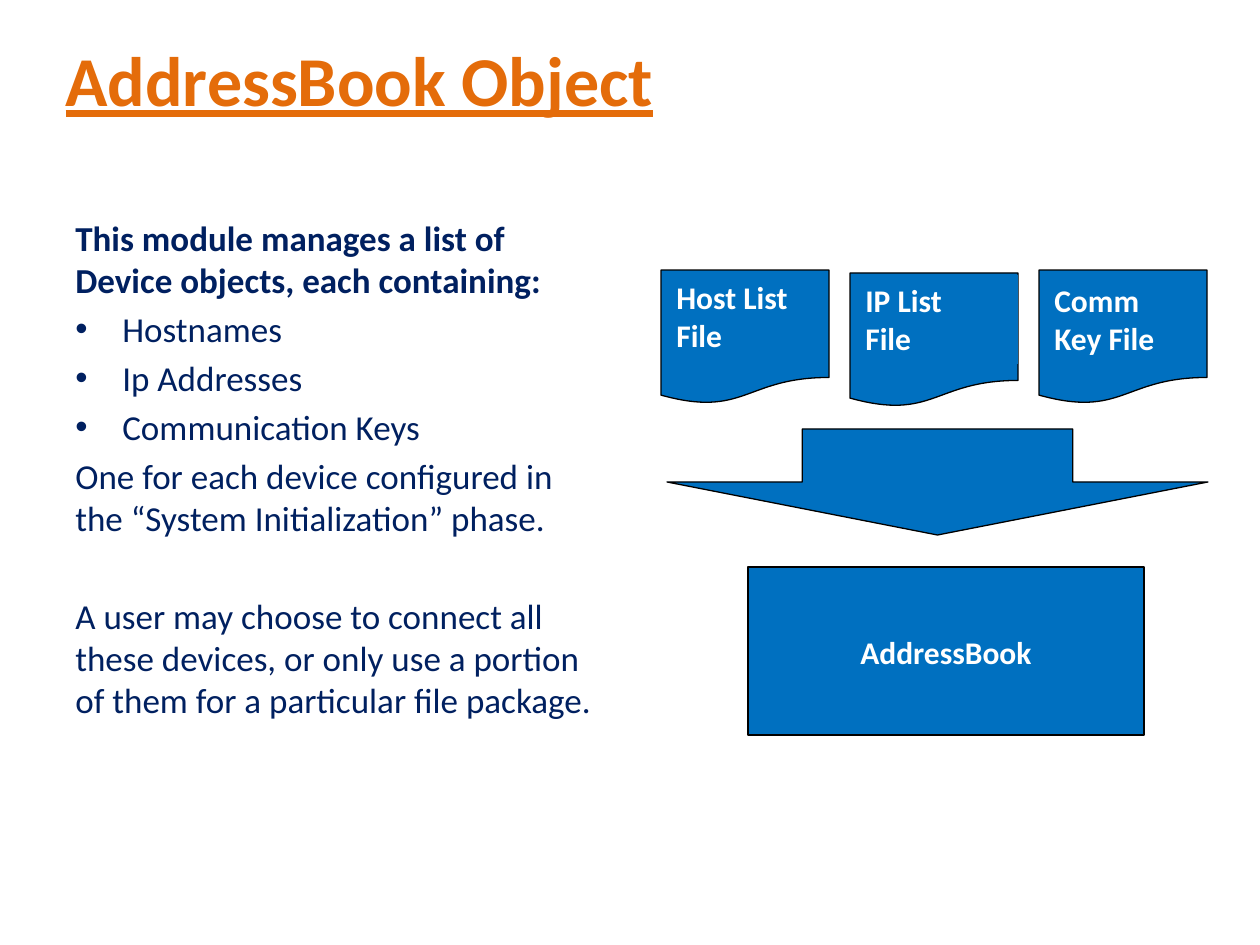
"""Build the AddressBook Object slide."""
from lxml.etree import SubElement
from pptx import Presentation
from pptx.dml.color import RGBColor
from pptx.enum.shapes import MSO_SHAPE
from pptx.enum.text import MSO_ANCHOR, PP_ALIGN
from pptx.oxml.ns import qn
from pptx.util import Pt

PX = 914400 / 126
COLORS = {"blue": "0070C0", "navy": "002060", "orange": "E46C0A", "white": "FFFFFF", "black": "000000"}


def write(frame, lines, size=18, color="white", bold=True, underline=False,
          align=PP_ALIGN.LEFT, anchor=MSO_ANCHOR.TOP):
    frame.word_wrap = True
    frame.vertical_anchor = anchor
    for i, (text, look) in enumerate(lines):
        para = frame.paragraphs[0] if i == 0 else frame.add_paragraph()
        para.alignment = align
        para.space_before = Pt(look.get("before", 0))
        if look.get("bullet"):
            props = para._p.get_or_add_pPr()
            props.set("marL", str(int(47 * PX)))
            props.set("indent", str(int(-47 * PX)))
            SubElement(props, qn("a:buFont")).set("typeface", "Arial")
            SubElement(props, qn("a:buChar")).set("char", "•")
        run = para.add_run()
        run.text = text
        font = run.font
        font.name, font.size = "Calibri", Pt(size)
        font.bold = look.get("bold", bold)
        font.underline = underline
        font.color.rgb = RGBColor.from_string(COLORS[color])


def draw(kind, box, outline=True):
    shape = slide.shapes.add_shape(kind, *[int(v * PX) for v in box])
    shape.shadow.inherit = False
    shape.fill.solid()
    shape.fill.fore_color.rgb = RGBColor.from_string(COLORS["blue"])
    if outline:
        shape.line.color.rgb = RGBColor.from_string(COLORS["black"])
        shape.line.width = Pt(0.75)
    else:
        shape.line.fill.background()
    return shape


deck = Presentation()
deck.slide_width, deck.slide_height = int(1260 * PX), int(945 * PX)
slide = deck.slides.add_slide(deck.slide_layouts[5])

title = slide.shapes.title
title.left, title.top, title.width, title.height = [int(v * PX) for v in (53, 0, 1134, 157)]
write(title.text_frame, [("AddressBook Object", {})], size=40, color="orange",
      underline=True, anchor=MSO_ANCHOR.MIDDLE)

body = slide.shapes.add_textbox(*[int(v * PX) for v in (63, 210, 557, 634)])
items = ["Hostnames", "Ip Addresses", "Communication Keys"]
write(body.text_frame, [
    ("This module manages a list of Device objects, each containing:", {"bold": True}),
    *[(item, {"bullet": True, "before": 4}) for item in items],
    ("One for each device configured in the “System Initialization” phase.", {"before": 4}),
    ("A user may choose to connect all these devices, or only use a portion of them "
     "for a particular file package.", {"before": 32}),
], size=20, color="navy", bold=False)

files = [
    (270, 272, 163, ["Host List File"]),
    (273, 275, 165, ["IP List", "File"]),
    (270, 275, 163, ["Comm", "Key File"]),
]
for i, (top, y, width, lines) in enumerate(files):
    left = 661 + 189 * i
    draw(MSO_SHAPE.FLOWCHART_DOCUMENT, (left, top, 168, 134))
    label = draw(MSO_SHAPE.RECTANGLE, (left + 3, y, width, 89), outline=False)
    write(label.text_frame, [(line, {}) for line in lines])

draw(MSO_SHAPE.DOWN_ARROW, (667, 429, 541, 106))
draw(MSO_SHAPE.FLOWCHART_PROCESS, (748, 567, 396, 168))
label = draw(MSO_SHAPE.RECTANGLE, (773, 627, 346, 50), outline=False)
write(label.text_frame, [("AddressBook", {})], align=PP_ALIGN.CENTER)

deck.save("out.pptx")
